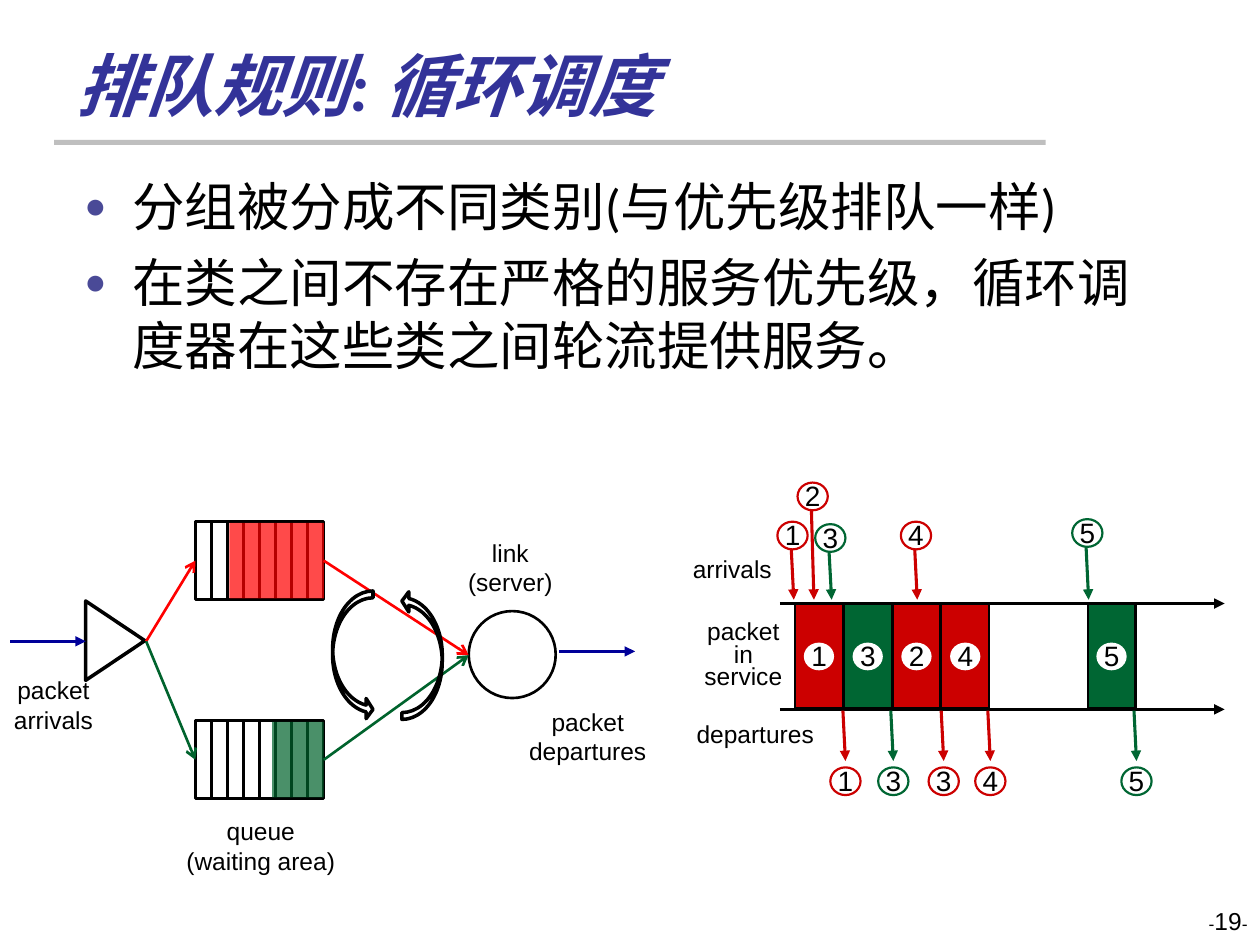
from dataclasses import dataclass

from lxml import etree
from pptx import Presentation
from pptx.dml.color import RGBColor
from pptx.enum.shapes import MSO_CONNECTOR, MSO_SHAPE
from pptx.enum.text import MSO_ANCHOR, MSO_AUTO_SIZE, PP_ALIGN
from pptx.oxml.ns import qn
from pptx.util import Inches, Pt

STRAIGHT = MSO_CONNECTOR.STRAIGHT
RECT, OVAL = MSO_SHAPE.RECTANGLE, MSO_SHAPE.OVAL
TRIANGLE, CURVED = MSO_SHAPE.ISOSCELES_TRIANGLE, MSO_SHAPE.CURVED_RIGHT_ARROW
LEFT, CENTER, RIGHT = PP_ALIGN.LEFT, PP_ALIGN.CENTER, PP_ALIGN.RIGHT
MIDDLE, TOP = MSO_ANCHOR.MIDDLE, MSO_ANCHOR.TOP
NO_FIT = MSO_AUTO_SIZE.NONE
LEFT_SIDE, RIGHT_SIDE = 1, 3


@dataclass(frozen=True)
class Theme:
    head_font: str = "Calibri"
    label_font: str = "Arial"
    title_size: float = 39
    body_size: float = 30
    number_size: float = 16
    label_size: float = 14
    small_size: float = 10
    black: str = "000000"
    white: str = "FFFFFF"
    rule: str = "BFBFBF"
    title: str = "333399"
    bullet: str = "4A4A97"
    flow: str = "000099"
    red: str = "CC0000"
    green: str = "006633"
    queue_red: str = "FF0000"
    queue_green: str = "00632D"


class SlideBuilder:
    def __init__(self, slide, theme):
        self.s, self.t = slide, theme

    def run(self, p, text, size, font=None, color=None, **extra):
        r = p.add_run()
        r.text = text
        values = {"name": font or self.t.label_font, "size": Pt(size), **extra}
        for name, value in values.items():
            setattr(r.font, name, value)
        r.font.color.rgb = RGBColor.from_string(color or self.t.black)

    def place(self, sp, *box):
        for name, value in zip(("left", "top", "width", "height"), box):
            setattr(sp, name, Inches(value))

    def title(self, text, *box):
        sp = self.s.shapes.title
        self.place(sp, *box)
        tf = sp.text_frame
        tf.auto_size, tf.vertical_anchor = NO_FIT, MIDDLE
        p = tf.paragraphs[0]
        p.alignment = LEFT
        self.run(p, text, self.t.title_size, self.t.head_font, self.t.title,
                 bold=True, italic=True)

    def bullets(self, items, *box):
        sp = self.s.placeholders[1]
        self.place(sp, *box)
        tf = sp.text_frame
        tf.auto_size, tf.vertical_anchor = NO_FIT, TOP
        for i, item in enumerate(items):
            p = tf.add_paragraph() if i else tf.paragraphs[0]
            pPr = p._p.get_or_add_pPr()
            pPr.set("marL", str(Inches(0.38)))
            pPr.set("indent", str(-Inches(0.38)))
            color = etree.SubElement(pPr, qn("a:buClr"))
            etree.SubElement(color, qn("a:srgbClr"), val=self.t.bullet)
            etree.SubElement(pPr, qn("a:buSzPct"), val="70000")
            etree.SubElement(pPr, qn("a:buChar"), char="●")
            p.space_before = Pt(7.5 if i else 0)
            self.run(p, item, self.t.body_size, self.t.head_font)

    def text(self, lines, *box, size=None, align=CENTER, wrap=False, spacing=None):
        """Each line is a string, or a list of (text, size) runs."""
        sp = self.s.shapes.add_textbox(*map(Inches, box))
        tf = sp.text_frame
        tf.word_wrap = wrap
        for i, line in enumerate(lines):
            p = tf.add_paragraph() if i else tf.paragraphs[0]
            p.alignment = align
            if spacing:
                p.line_spacing = Pt(spacing)
            runs = [(line, size or self.t.label_size)] if isinstance(line, str) else line
            for text, run_size in runs:
                self.run(p, text, run_size)

    def shape(self, kind, *box, fill=None, line=None, width=1.5, alpha=None, rotation=0):
        sp = self.s.shapes.add_shape(kind, *map(Inches, box))
        sp.shadow.inherit = False
        sp.rotation = rotation
        if fill:
            sp.fill.solid()
            sp.fill.fore_color.rgb = RGBColor.from_string(fill)
            if alpha:
                clr = sp._element.spPr.find(qn("a:solidFill"))[0]
                etree.SubElement(clr, qn("a:alpha"), val=str(alpha * 1000))
        else:
            sp.fill.background()
        if line:
            sp.line.color.rgb = RGBColor.from_string(line)
            sp.line.width = Pt(width)
        else:
            sp.line.fill.background()
        return sp

    def line(self, x1, y1, x2, y2, color, width=1.5, head=None, begin=None, end=None):
        """begin and end are optional (shape, side) pairs to join."""
        c = self.s.shapes.add_connector(STRAIGHT, *map(Inches, (x1, y1, x2, y2)))
        c.line.color.rgb = RGBColor.from_string(color)
        c.line.width = Pt(width)
        if head:
            etree.SubElement(c.line._get_or_add_ln(), qn("a:tailEnd"), type=head)
        etree.SubElement(c._element.spPr, qn("a:effectLst"))
        if begin:
            c.begin_connect(*begin)
        if end:
            c.end_connect(*end)

    def packet(self, number, x, y, outline=None):
        """A numbered packet marker; x and y are the corner of its oval."""
        self.shape(OVAL, x, y, 0.24, 0.22, fill=self.t.white, line=outline, width=1.25)
        self.text([str(number)], x - 0.04, y - 0.08, 0.32, 0.37,
                  size=self.t.number_size, align=LEFT)

    def queue(self, y, fill, fill_x):
        x, w, h = 1.55, 1.02, 0.62
        box = self.shape(RECT, x, y, w, h, line=self.t.black)
        for i in range(7):
            divider = x + 0.13 + 0.127 * i
            self.line(divider, y, divider, y + h, self.t.black)
        self.shape(RECT, fill_x, y + 0.01, x + w - fill_x, 0.6, fill=fill, alpha=71)
        return box


def draw_timeline(b):
    t = b.t
    for y in (4.79, 5.63):
        b.line(6.19, y, 9.72, y, t.black, 2, "triangle")
    for slot, number, color in ((0, 1, t.red), (1, 3, t.green), (2, 2, t.red),
                                (3, 4, t.red), (6, 5, t.green)):
        x = 6.31 + 0.387 * slot
        b.shape(RECT, x, 4.79, 0.38, 0.83, fill=color, line=t.black, width=1.25)
        b.packet(number, x + 0.07, 5.1)
    for number, x, y, color in ((5, 8.51, 4.12, t.green), (2, 6.33, 3.83, t.red),
                                (1, 6.17, 4.14, t.red), (3, 6.47, 4.16, t.green),
                                (4, 7.15, 4.14, t.red)):
        b.line(x + 0.11, y + 0.22, x + 0.13, 4.76, color, 1.75, "triangle")
        b.packet(number, x, y, color)
    for number, x, color in ((1, 6.59, t.red), (3, 6.97, t.green), (3, 7.37, t.red),
                             (4, 7.74, t.red), (5, 8.9, t.green)):
        b.line(x + 0.1, 5.64, x + 0.12, 6.04, color, 1.75, "triangle")
        b.packet(number, x, 6.09, color)
    b.text(["arrivals"], 5.4, 4.35, 0.83, 0.34, align=LEFT)
    b.text(["departures"], 5.43, 5.66, 1.13, 0.34, align=LEFT)
    b.text(["packet in service"], 5.43, 4.9, 0.94, 0.63, wrap=True, spacing=12.7)


def draw_scheduler(b):
    t = b.t
    b.shape(OVAL, 3.72, 4.85, 0.69, 0.69, line=t.black)
    b.shape(TRIANGLE, 0.6, 4.85, 0.63, 0.47, fill=t.white, line=t.black,
            width=2, rotation=90)
    for y, color, fill_x in ((4.14, t.queue_red, 1.82), (5.72, t.queue_green, 2.16)):
        box = b.queue(y, color, fill_x)
        middle = y + 0.31
        b.line(1.16, 5.09, 1.55, middle, color, head="arrow", end=(box, LEFT_SIDE))
        b.line(2.57, middle, 3.72, 5.2, color, head="arrow", begin=(box, RIGHT_SIDE))
    for x, y in ((0.08, 5.09), (4.44, 5.17)):
        b.line(x, y, x + 0.6, y, t.flow, head="triangle")
    for x, rotation in ((2.64, 0), (3.19, 180)):
        sp = b.shape(CURVED, x, 4.69, 0.32, 1.02, line=t.black, width=2, rotation=rotation)
        for i, value in enumerate((0.17, 0.5, 0.17)):
            sp.adjustments[i] = value
    for lines, x, y, w in ((("queue", "(waiting area)"), 1.38, 6.43, 1.38),
                           (("packet", "arrivals"), 0.01, 5.31, 0.83),
                           (("packet", "departures"), 4.1, 5.56, 1.13),
                           (("link", "(server)"), 3.59, 4.22, 0.92)):
        b.text(lines, x, y, w, 0.57)


def main():
    prs = Presentation()
    prs.slide_width, prs.slide_height = Inches(10), Inches(7.5)
    t = Theme()
    b = SlideBuilder(prs.slides.add_slide(prs.slide_layouts[1]), t)
    b.shape(RECT, 0.43, 1.11, 7.87, 0.04, fill=t.rule)
    b.text([[("-", t.small_size), ("19", t.label_size), ("-", t.small_size)]],
           7.67, 7.14, 2.33, 0.5, align=RIGHT, wrap=True)
    b.title("排队规则: 循环调度", 0.51, 0.28, 8.25, 0.78)
    b.bullets(["分组被分成不同类别(与优先级排队一样)",
               "在类之间不存在严格的服务优先级，循环调度器在这些类之间轮流提供服务。"],
              0.57, 1.33, 8.5, 2.42)
    draw_timeline(b)
    draw_scheduler(b)
    prs.save("out.pptx")


if __name__ == "__main__":
    main()
